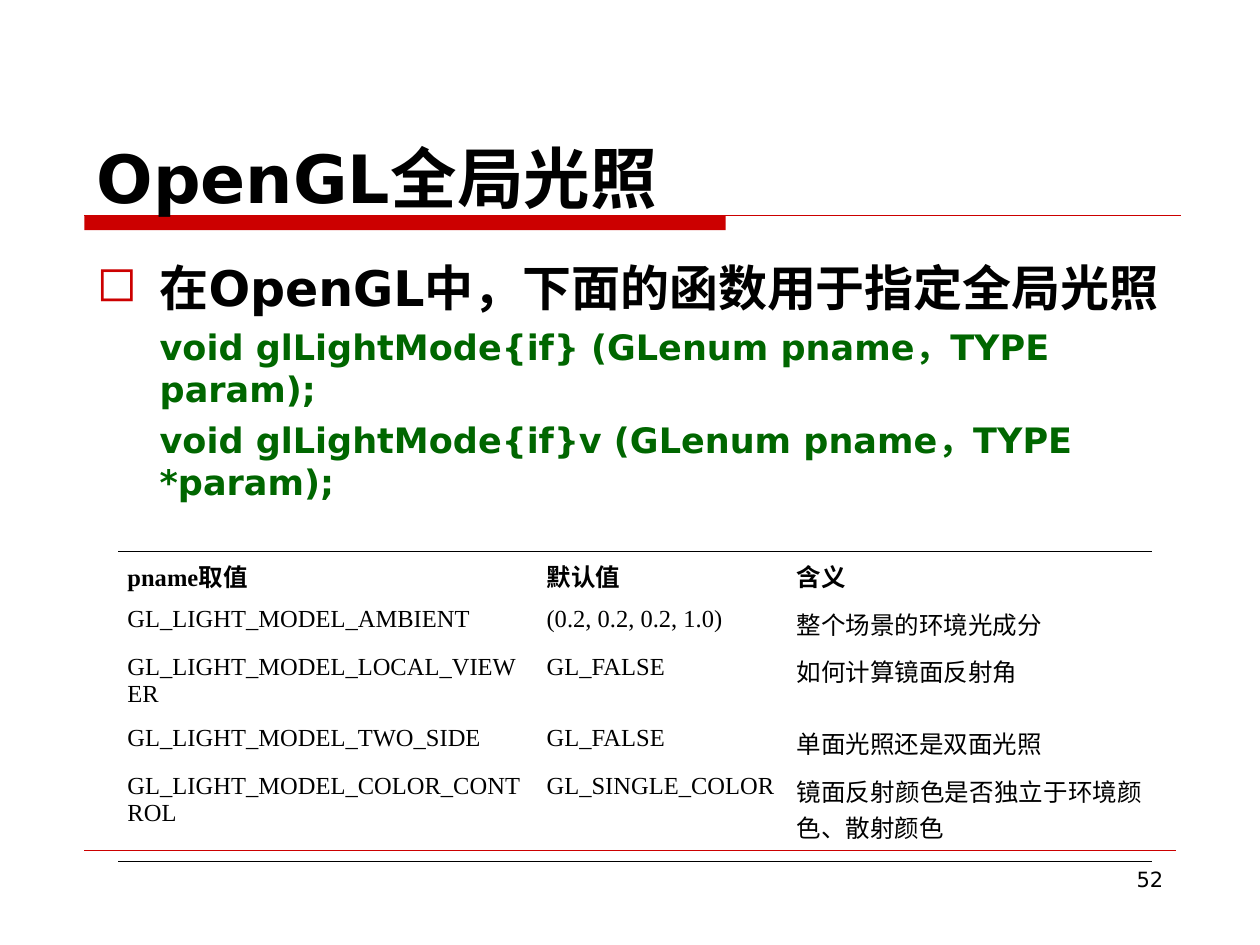
"""Build the slide on global lighting in OpenGL."""
import lxml.etree
import pptx
import pptx.dml.color
import pptx.enum.shapes
import pptx.enum.text
import pptx.oxml
import pptx.oxml.ns
import pptx.util

Cm = pptx.util.Cm
Pt = pptx.util.Pt
RGBColor = pptx.dml.color.RGBColor
ALIGN = pptx.enum.text.PP_ALIGN
ANCHOR = pptx.enum.text.MSO_ANCHOR

RED = RGBColor(0xCC, 0x00, 0x00)
GREEN = RGBColor(0x00, 0x66, 0x00)
BLACK = RGBColor(0x00, 0x00, 0x00)
SANS = "DejaVu Sans"
SERIF = "Times New Roman"


def add_span(para, text, size, color=BLACK, bold=True, font=SANS):
    span = para.add_run()
    span.text = text
    span.font.name = font
    span.font.size = Pt(size)
    span.font.bold = bold
    span.font.color.rgb = color


def add_frame(left, top, width, height):
    frame = page.shapes.add_textbox(Cm(left), Cm(top), Cm(width), Cm(height)).text_frame
    frame.word_wrap = True
    return frame


deck = pptx.Presentation()
deck.slide_width = Cm(25.4)
deck.slide_height = Cm(19.05)
page = deck.slides.add_slide(deck.slide_layouts[6])

bar = page.shapes.add_shape(
    pptx.enum.shapes.MSO_SHAPE.RECTANGLE, Cm(1.7), Cm(4.34), Cm(12.93), Cm(0.3))
bar.shadow.inherit = False
bar.fill.solid()
bar.fill.fore_color.rgb = RED
bar.line.fill.background()

for top, right, weight in [(4.34, 23.8, 0.75), (17.15, 23.7, 0.25)]:
    rule = page.shapes.add_connector(
        pptx.enum.shapes.MSO_CONNECTOR.STRAIGHT, Cm(1.7), Cm(top), Cm(right), Cm(top))
    rule.line.color.rgb = RED
    rule.line.width = Pt(weight)
    lxml.etree.SubElement(
        rule.element.spPr, pptx.oxml.ns.qn("a:effectLst"))

number = add_frame(18.2, 17.35, 5.5, 1.32).paragraphs[0]
number.alignment = ALIGN.RIGHT
add_span(number, "52", 12, bold=False)

title = add_frame(1.7, 1.12, 22.23, 3.38)
title.vertical_anchor = ANCHOR.BOTTOM
add_span(title.paragraphs[0], "OpenGL全局光照", 38)

body = add_frame(1.7, 4.72, 22.7, 5.13)
lead = body.paragraphs[0]
properties = lead._p.get_or_add_pPr()
properties.set("marL", str(Cm(1.27)))
properties.set("indent", str(-Cm(1.27)))
for xml in [
    f'<a:buClr {pptx.oxml.ns.nsdecls("a")}><a:srgbClr val="{RED}"/></a:buClr>',
    f'<a:buChar {pptx.oxml.ns.nsdecls("a")} char="◻"/>',
]:
    properties.append(pptx.oxml.parse_xml(xml))
lead.line_spacing = 1.3
add_span(lead, "在OpenGL中，下面的函数用于指定全局光照", 28)

for signature in [
    "void glLightMode{if} (GLenum pname，TYPE param);",
    "void glLightMode{if}v (GLenum pname，TYPE *param);",
]:
    para = body.add_paragraph()
    para._p.get_or_add_pPr().set("marL", str(Cm(1.27)))
    para.space_before = Pt(5)
    add_span(para, signature, 20, GREEN)

ROWS = [
    ("pname取值", "默认值", "含义"),
    ("GL_LIGHT_MODEL_AMBIENT", "(0.2, 0.2, 0.2, 1.0)", "整个场景的环境光成分"),
    ("GL_LIGHT_MODEL_LOCAL_VIEWER", "GL_FALSE", "如何计算镜面反射角"),
    ("GL_LIGHT_MODEL_TWO_SIDE", "GL_FALSE", "单面光照还是双面光照"),
    ("GL_LIGHT_MODEL_COLOR_CONTROL", "GL_SINGLE_COLOR",
     "镜面反射颜色是否独立于环境颜色、散射颜色"),
]
WIDTHS = [8.45, 5.04, 7.35]
HEIGHTS = [0.96, 0.96, 1.2, 0.96, 1.92]

table = page.shapes.add_table(
    len(ROWS), len(WIDTHS), Cm(2.38), Cm(11.12), Cm(sum(WIDTHS)), Cm(sum(HEIGHTS))).table
table.first_row = False
table.horz_banding = False
for column, width in zip(table.columns, WIDTHS):
    column.width = Cm(width)
for row, height in zip(table.rows, HEIGHTS):
    row.height = Cm(height)

for r, texts in enumerate(ROWS):
    ruled = {0: "lnT", len(ROWS) - 1: "lnB"}.get(r)
    for c, text in enumerate(texts):
        cell = table.cell(r, c)
        cell.margin_left = cell.margin_right = Cm(0.19)
        cell.margin_top = cell.margin_bottom = Cm(0.13)
        cell.vertical_anchor = ANCHOR.MIDDLE if r == 0 else ANCHOR.TOP
        for side in ["lnL", "lnR", "lnT", "lnB"]:
            paint = "<a:noFill/>"
            if side == ruled:
                paint = f'<a:solidFill><a:srgbClr val="{BLACK}"/></a:solidFill>'
            cell._tc.get_or_add_tcPr().append(pptx.oxml.parse_xml(
                f'<a:{side} {pptx.oxml.ns.nsdecls("a")} w="{Pt(0.45)}">{paint}</a:{side}>'))
        cell.fill.background()
        para = cell.text_frame.paragraphs[0]
        para.alignment = ALIGN.JUSTIFY
        add_span(para, text, 14, bold=r == 0, font=SERIF)

deck.save("out.pptx")
